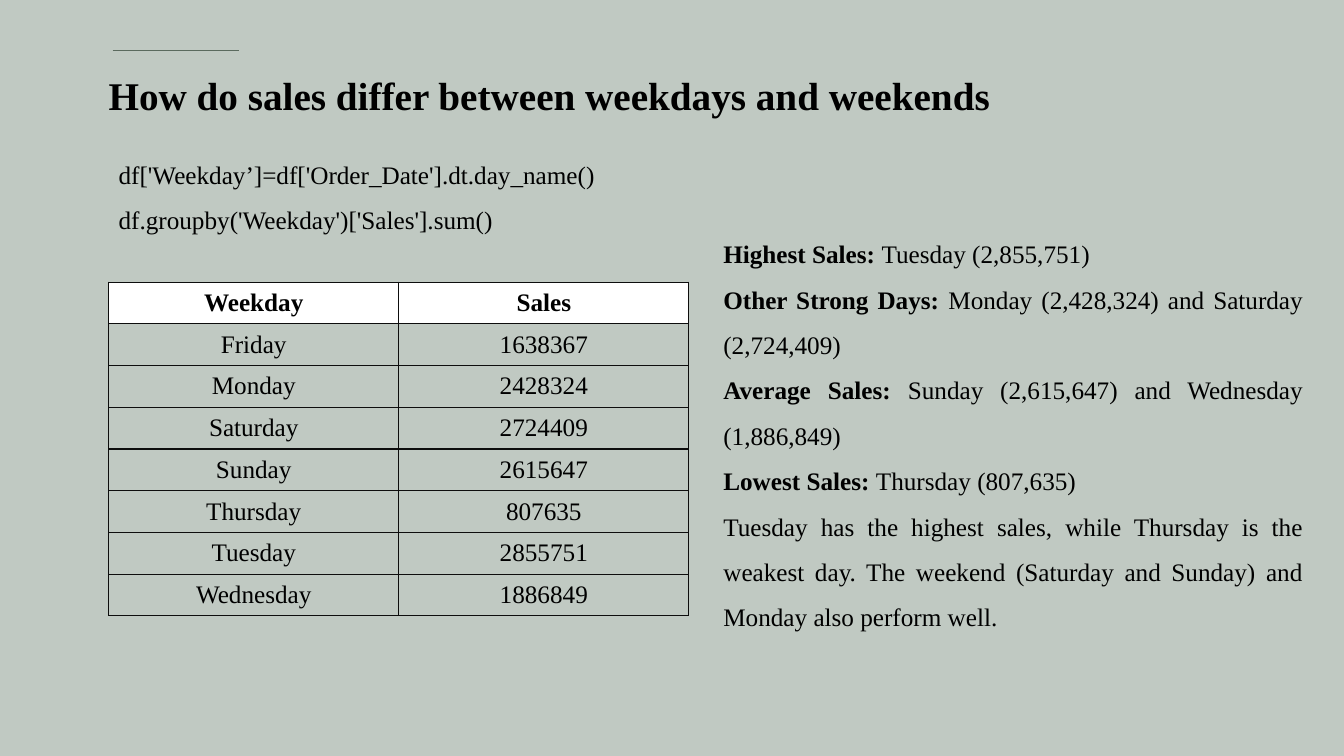
from dataclasses import dataclass

from lxml import etree
from pptx import Presentation
from pptx.dml.color import RGBColor
from pptx.enum import shapes, text
from pptx.oxml import ns
from pptx.util import Cm, Pt

BACKGROUND = RGBColor(0xC0, 0xC9, 0xC2)
ACCENT = RGBColor(0x5B, 0x6A, 0x5E)
BLACK = RGBColor(0, 0, 0)
WHITE = RGBColor(0xFF, 0xFF, 0xFF)
BORDER = "0D0D0D"
FONT = "Times New Roman"


@dataclass(frozen=True)
class Line:
    label: str
    detail: str = ""


@dataclass(frozen=True)
class TextBlock:
    left: float
    top: float
    width: float
    height: float
    lines: tuple[Line, ...]
    size: int = 18
    spacing: float = 1.5
    align: text.PP_ALIGN = text.PP_ALIGN.LEFT
    anchor: text.MSO_ANCHOR = text.MSO_ANCHOR.TOP


@dataclass(frozen=True)
class DaySales:
    day: str
    sales: int


BLOCKS = (
    TextBlock(2.49, 1.6, 27.53, 1.73,
              (Line("How do sales differ between weekdays and weekends"),),
              size=28, spacing=0.9, anchor=text.MSO_ANCHOR.MIDDLE),
    TextBlock(2.74, 3.51, 21.87, 2.44, (
        Line("", "df['Weekday’]=df['Order_Date'].dt.day_name()"),
        Line("", "df.groupby('Weekday')['Sales'].sum()"),
    )),
    TextBlock(17.98, 5.51, 15.11, 10.52, (
        Line("Highest Sales: ", "Tuesday (2,855,751)"),
        Line("Other Strong Days: ", "Monday (2,428,324) and Saturday (2,724,409)"),
        Line("Average Sales: ", "Sunday (2,615,647) and Wednesday (1,886,849)"),
        Line("Lowest Sales: ", "Thursday (807,635)"),
        Line("", "Tuesday has the highest sales, while Thursday is the weakest day. "
                 "The weekend (Saturday and Sunday) and Monday also perform well."),
    ), align=text.PP_ALIGN.JUSTIFY),
)

SALES = (
    DaySales("Friday", 1638367),
    DaySales("Monday", 2428324),
    DaySales("Saturday", 2724409),
    DaySales("Sunday", 2615647),
    DaySales("Thursday", 807635),
    DaySales("Tuesday", 2855751),
    DaySales("Wednesday", 1886849),
)


def format_run(r, size: int, bold: bool) -> None:
    r.font.name = FONT
    r.font.size = Pt(size)
    r.font.bold = bold
    r.font.color.rgb = BLACK


def add_text(s, block: TextBlock) -> None:
    sp = s.shapes.add_textbox(Cm(block.left), Cm(block.top),
                              Cm(block.width), Cm(block.height))
    tf = sp.text_frame
    tf.word_wrap = True
    tf.vertical_anchor = block.anchor
    for i, line in enumerate(block.lines):
        p = tf.add_paragraph() if i else tf.paragraphs[0]
        p.alignment = block.align
        p.line_spacing = block.spacing
        for content, bold in ((line.label, True), (line.detail, False)):
            if content:
                r = p.add_run()
                r.text = content
                format_run(r, block.size, bold)


def add_accent_line(s) -> None:
    line = s.shapes.add_connector(shapes.MSO_CONNECTOR.STRAIGHT,
                                  Cm(2.84), Cm(1.27), Cm(6.02), Cm(1.27))
    line.line.color.rgb = ACCENT
    line.line.width = Pt(1.25)
    etree.SubElement(line._element.spPr, ns.qn("a:effectLst"))


def set_borders(cell) -> None:
    props = cell._tc.get_or_add_tcPr()
    for i, side in enumerate(("a:lnL", "a:lnR", "a:lnT", "a:lnB")):
        ln = etree.Element(ns.qn(side), w=str(Pt(1)))
        fill = etree.SubElement(ln, ns.qn("a:solidFill"))
        etree.SubElement(fill, ns.qn("a:srgbClr"), val=BORDER)
        props.insert(i, ln)


def add_sales_table(s, sales: tuple[DaySales, ...]) -> None:
    rows = [("Weekday", "Sales")] + [(d.day, str(d.sales)) for d in sales]
    table = s.shapes.add_table(len(rows), 2, Cm(2.74), Cm(7.11),
                               Cm(14.62), Cm(8.41)).table
    table.horz_banding = False
    for i, row in enumerate(rows):
        for j, content in enumerate(row):
            cell = table.cell(i, j)
            cell.vertical_anchor = text.MSO_ANCHOR.MIDDLE
            if i == 0:
                cell.fill.solid()
                cell.fill.fore_color.rgb = WHITE
            else:
                cell.fill.background()
            set_borders(cell)
            p = cell.text_frame.paragraphs[0]
            p.text = content
            p.alignment = text.PP_ALIGN.CENTER
            format_run(p.runs[0], 18, i == 0)


def main() -> None:
    prs = Presentation()
    prs.slide_width = Cm(33.87)
    prs.slide_height = Cm(19.05)
    s = prs.slides.add_slide(prs.slide_layouts[6])
    s.background.fill.solid()
    s.background.fill.fore_color.rgb = BACKGROUND
    add_accent_line(s)
    for block in BLOCKS:
        add_text(s, block)
    add_sales_table(s, SALES)
    prs.save("out.pptx")


if __name__ == "__main__":
    main()
